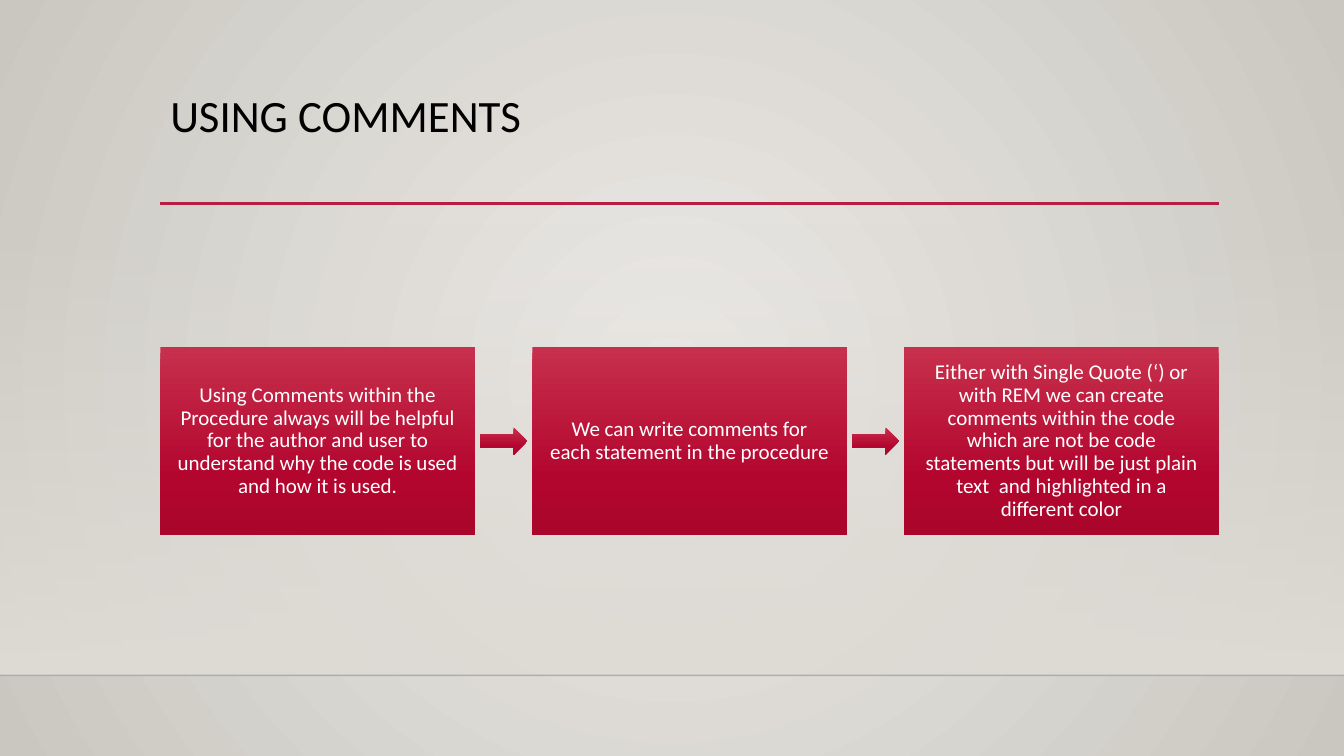
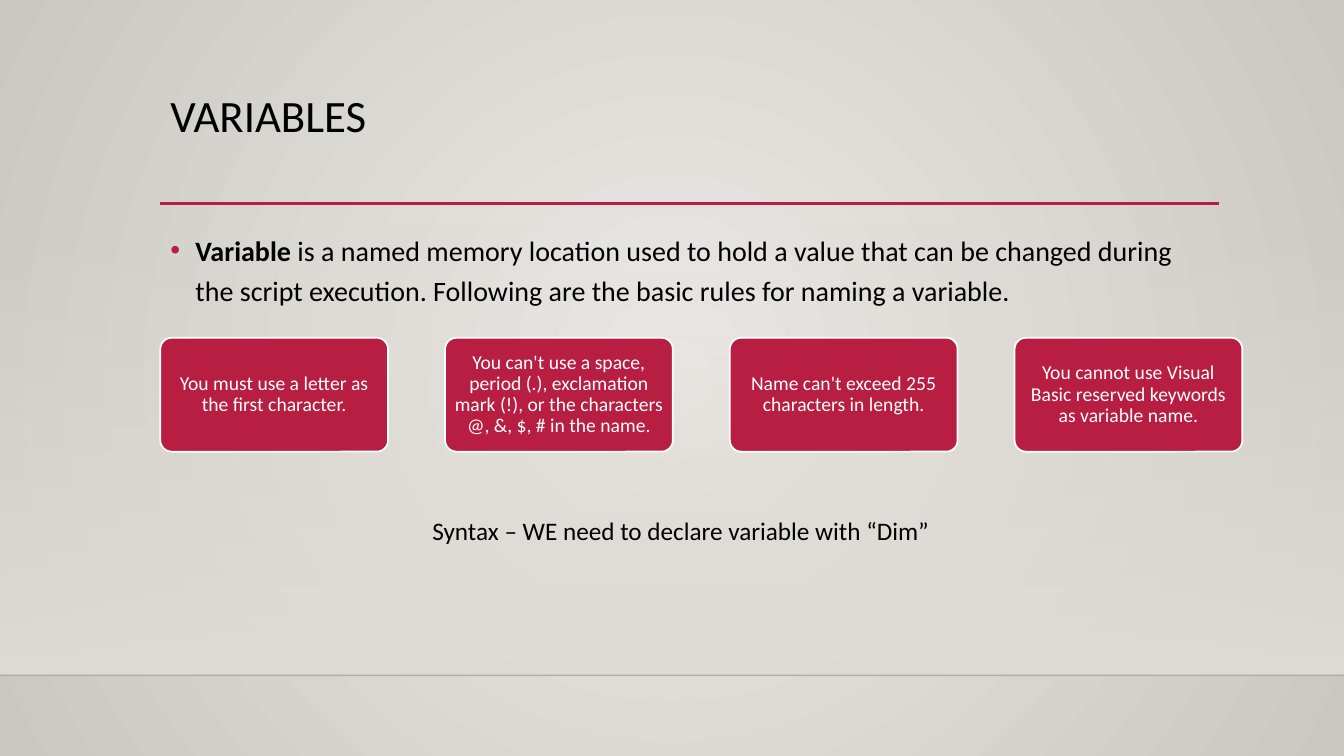
from dataclasses import dataclass

from lxml.etree import SubElement
from pptx import Presentation
from pptx.dml.color import RGBColor
from pptx.enum.shapes import MSO_CONNECTOR, MSO_SHAPE
from pptx.enum.text import MSO_ANCHOR, PP_ALIGN
from pptx.oxml.ns import qn
from pptx.util import Inches, Pt


@dataclass(frozen=True)
class Theme:
    font: str = "Calibri"
    ink: str = "000000"
    white: str = "FFFFFF"
    accent: str = "B71E42"
    backdrop: tuple = ((0, "ECEAE7", 100), (100, "CAC7C1", 100))
    wall: tuple = ((0, "DFDBD5", 0), (100, "DFDBD5", 100))
    crimson: tuple = ((0, "C7304C", 100), (69, "B3062F", 100), (100, "AA062C", 100))
    title_size: int = 32
    body_size: int = 20
    note_size: int = 18
    step_size: int = 15
    card_size: int = 14


THEME = Theme()
WIDTH, HEIGHT = Inches(13.333), Inches(7.5)

# Shares of the slide, in percent of its width or height
LEFT, CONTENT = 11.93, 78.75
WALL_TOP, FLOOR = 29.47, 89.33
RULE = 26.93

STEPS = (
    "Using Comments within the Procedure always will be helpful for the author "
    "and user to understand why the code is used and how it is used.",
    "We can write comments for each statement in the procedure",
    "Either with Single Quote (‘) or with REM we can create comments within the "
    "code which are not be code statements but will be just plain text  and "
    "highlighted in a different color",
)
RULES = (
    "You must use a letter as the first character.",
    "You can't use a space, period (.), exclamation mark (!), or the characters "
    "@, &, $, # in the name.",
    "Name can't exceed 255 characters in length.",
    "You cannot use Visual Basic reserved keywords as variable name.",
)
TERM = "Variable"
DEFINITION = (
    " is a named memory location used to hold a value that can be changed during "
    "the script execution. Following are the basic rules for naming a variable."
)


def across(share):
    return round(WIDTH * share / 100)


def down(share):
    return round(HEIGHT * share / 100)


def frame(left, top, width, height):
    return across(left), down(top), across(width), down(height)


def color(code):
    return RGBColor.from_string(code)


def add_alpha(color_element, percent):
    SubElement(color_element, qn("a:alpha"), val=str(percent * 1000))


def solid_to_gradient(properties, stops, radial=False):
    """Replace the solid fill in properties by a vertical or radial gradient."""
    solid = properties.find(qn("a:solidFill"))
    gradient = properties.makeelement(qn("a:gradFill"), {"rotWithShape": "1"})
    stop_list = SubElement(gradient, qn("a:gsLst"))
    for position, code, alpha in stops:
        stop = SubElement(stop_list, qn("a:gs"), pos=str(position * 1000))
        shade = SubElement(stop, qn("a:srgbClr"), val=code)
        if alpha < 100:
            add_alpha(shade, alpha)
    if radial:
        focus = SubElement(gradient, qn("a:path"), path="circle")
        SubElement(focus, qn("a:fillToRect"), l="50000", t="50000", r="50000", b="50000")
    else:
        SubElement(gradient, qn("a:lin"), ang="5400000", scaled="0")
    properties.replace(solid, gradient)


def add_panel(page, kind, place, fill):
    """Add a borderless shape; fill is a colour code or a tuple of gradient stops."""
    shape = page.shapes.add_shape(kind, *place)
    shape.shadow.inherit = False
    shape.line.fill.background()
    shape.fill.solid()
    if isinstance(fill, str):
        shape.fill.fore_color.rgb = color(fill)
    else:
        solid_to_gradient(shape.element.spPr, fill)
    return shape


def add_rule(page, left, top, width, code, weight, alpha=100):
    y = down(top)
    rule = page.shapes.add_connector(
        MSO_CONNECTOR.STRAIGHT, across(left), y, across(left + width), y
    )
    rule.line.width = Pt(weight)
    rule.line.color.rgb = color(code)
    if alpha < 100:
        add_alpha(rule.line.fill.fore_color._xFill[0], alpha)
    SubElement(rule.element.spPr, qn("a:effectLst"))


def style_font(font, size, code):
    font.name = THEME.font
    font.size = Pt(size)
    font.color.rgb = color(code)


def add_text(page, place, text, size, spacing=1.0):
    box = page.shapes.add_textbox(*place)
    box.text_frame.word_wrap = True
    para = box.text_frame.paragraphs[0]
    para.text = text
    para.line_spacing = spacing
    style_font(para.runs[0].font, size, THEME.ink)
    return para


def fill_label(shape, text, size, side, edge):
    """Centre white text in a shape, with side and edge insets in inches."""
    label = shape.text_frame
    label.word_wrap = True
    label.vertical_anchor = MSO_ANCHOR.MIDDLE
    label.margin_left = label.margin_right = Inches(side)
    label.margin_top = label.margin_bottom = Inches(edge)
    label.text = text
    para = label.paragraphs[0]
    para.alignment = PP_ALIGN.CENTER
    para.line_spacing = 0.9
    style_font(para.runs[0].font, size, THEME.white)


def add_bullet(para):
    properties = para._p.get_or_add_pPr()
    indent = Inches(0.25)
    properties.set("marL", str(indent))
    properties.set("indent", str(-indent))
    tint = SubElement(properties, qn("a:buClr"))
    SubElement(tint, qn("a:srgbClr"), val=THEME.accent)
    SubElement(properties, qn("a:buFont"), typeface="Arial")
    SubElement(properties, qn("a:buChar"), char="•")


def set_backdrop(deck):
    master = deck.slide_master
    master.background.fill.solid()
    properties = master.element.find(".//" + qn("p:bgPr"))
    solid_to_gradient(properties, THEME.backdrop, radial=True)


def add_page(deck, title):
    page = deck.slides.add_slide(deck.slide_layouts[6])
    wall = frame(0, WALL_TOP, 100, FLOOR - WALL_TOP)
    add_panel(page, MSO_SHAPE.RECTANGLE, wall, THEME.wall)
    add_rule(page, 0, FLOOR, 100, THEME.ink, 1, alpha=20)
    add_rule(page, LEFT, RULE, CONTENT, THEME.accent, 2.5)
    add_text(page, frame(LEFT, 11.73, CONTENT, 15.33), title, THEME.title_size, 0.9)
    return page


def add_process(page, steps):
    """Row of boxes across the content width, joined by arrows."""
    top, width, height = 45.87, 23.4, 24.96
    arrow_width, arrow_height = 3.52, 3.6
    pitch = (CONTENT - width) / (len(steps) - 1)
    for index, step in enumerate(steps):
        left = LEFT + index * pitch
        if index:
            arrow_left = left - (pitch - width + arrow_width) / 2
            arrow_top = top + (height - arrow_height) / 2
            place = frame(arrow_left, arrow_top, arrow_width, arrow_height)
            add_panel(page, MSO_SHAPE.RIGHT_ARROW, place, THEME.crimson)
        place = frame(left, top, width, height)
        box = add_panel(page, MSO_SHAPE.RECTANGLE, place, THEME.crimson)
        fill_label(box, step, THEME.step_size, 0.17, 0.17)


def add_cards(page, texts):
    """Row of rounded cards, a quarter of a card apart."""
    width = 16.95
    for index, text in enumerate(texts):
        place = frame(LEFT + index * width * 1.25, 44.67, width, 15.07)
        card = add_panel(page, MSO_SHAPE.ROUNDED_RECTANGLE, place, THEME.accent)
        card.adjustments[0] = 0.1
        card.line.color.rgb = color(THEME.white)
        card.line.width = Pt(1.25)
        fill_label(card, text, THEME.card_size, 0.03, 0.02)


def add_definition(page, term, meaning):
    place = frame(LEFT, 29.33, CONTENT, 18.93)
    para = add_text(page, place, term, THEME.body_size, 1.2)
    add_bullet(para)
    para.runs[0].font.bold = True
    span = para.add_run()
    span.text = meaning
    style_font(span.font, THEME.body_size, THEME.ink)


def main():
    deck = Presentation()
    deck.slide_width, deck.slide_height = WIDTH, HEIGHT
    set_backdrop(deck)

    comments = add_page(deck, "USING COMMENTS")
    add_process(comments, STEPS)

    variables = add_page(deck, "VARIABLES")
    add_definition(variables, TERM, DEFINITION)
    add_cards(variables, RULES)
    add_text(
        variables,
        frame(31.43, 67.47, 39.75, 5.33),
        "Syntax – WE need to declare variable with “Dim”",
        THEME.note_size,
    )

    deck.save("out.pptx")


if __name__ == "__main__":
    main()
